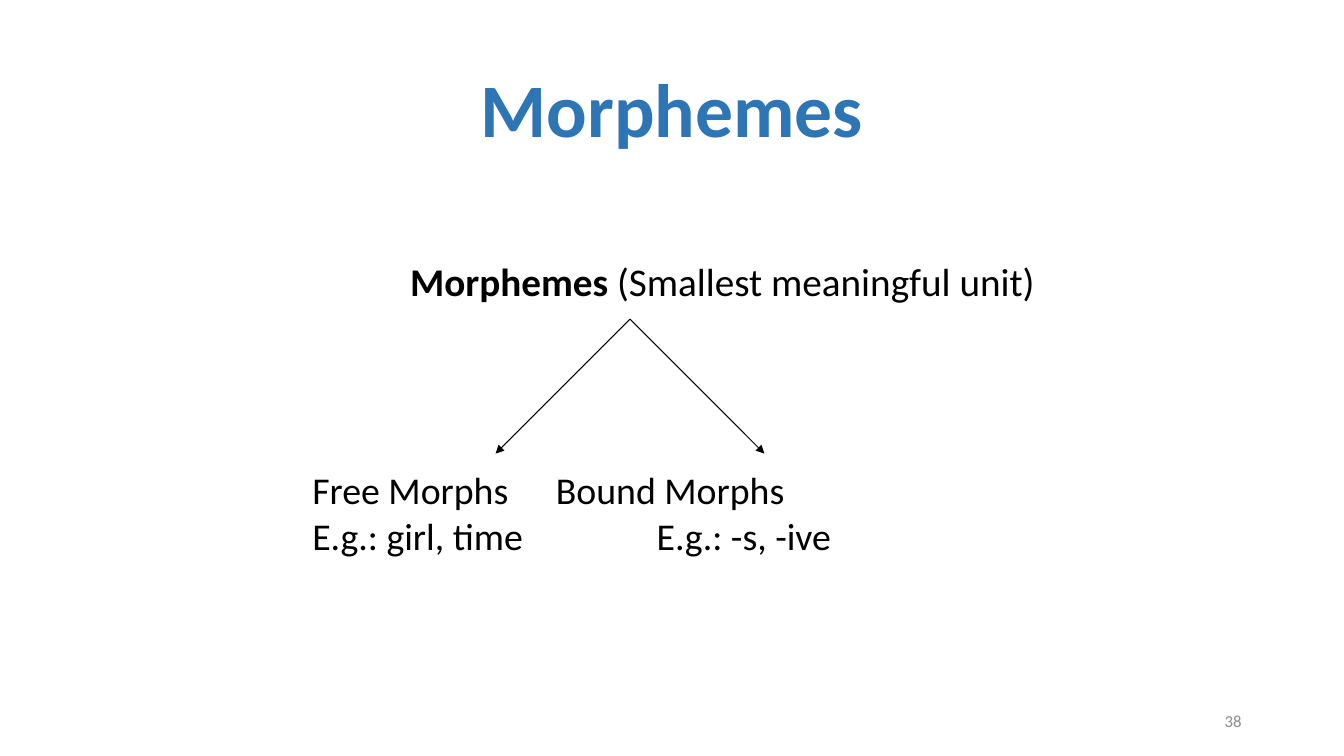
from dataclasses import dataclass

from lxml import etree
from pptx import Presentation
from pptx.dml.color import RGBColor
from pptx.enum.shapes import MSO_CONNECTOR
from pptx.enum.text import MSO_ANCHOR, PP_ALIGN
from pptx.oxml.ns import qn
from pptx.util import Inches, Pt

LEFT, CENTER, RIGHT = PP_ALIGN.LEFT, PP_ALIGN.CENTER, PP_ALIGN.RIGHT
TOP, MIDDLE = MSO_ANCHOR.TOP, MSO_ANCHOR.MIDDLE
STRAIGHT = MSO_CONNECTOR.STRAIGHT
COLUMNS, ROWS = 160, 90
FONT = "Calibri"
BLACK, BLUE, GRAY = "000000", "2E75B6", "8C8C8C"


@dataclass(frozen=True)
class Words:
    text: str
    bold: bool = False


@dataclass(frozen=True)
class Line:
    words: tuple[Words, ...]
    tab_stop: float | None = None


@dataclass(frozen=True)
class Label:
    column: float
    row: float
    columns: float
    rows: float
    lines: tuple[Line, ...]
    size: float
    color: str = BLACK
    align: PP_ALIGN = CENTER
    anchor: MSO_ANCHOR = MIDDLE
    spacing: float = 1.0


def cells(count: float) -> int:
    return Inches(count / 12)


def rgb(color: str) -> RGBColor:
    return RGBColor.from_string(color)


def draw_label(slide, label: Label) -> None:
    place = (label.column, label.row, label.columns, label.rows)
    frame = slide.shapes.add_textbox(*map(cells, place)).text_frame
    frame.word_wrap = True
    frame.vertical_anchor = label.anchor
    for index, line in enumerate(label.lines):
        paragraph = frame.add_paragraph() if index else frame.paragraphs[0]
        paragraph.alignment = label.align
        paragraph.line_spacing = label.spacing
        if line.tab_stop is not None:
            stops = etree.SubElement(paragraph._p.get_or_add_pPr(), qn("a:tabLst"))
            etree.SubElement(stops, qn("a:tab"), pos=str(cells(line.tab_stop)), algn="l")
        for words in line.words:
            run = paragraph.add_run()
            run.text = words.text
            run.font.name = FONT
            run.font.size = Pt(label.size)
            run.font.bold = words.bold
            run.font.color.rgb = rgb(label.color)


def draw_branch(slide, column: float, row: float, across: float, down: float) -> None:
    ends = (column, row, column + across, row + down)
    branch = slide.shapes.add_connector(STRAIGHT, *map(cells, ends))
    branch.line.color.rgb = rgb(BLACK)
    branch.line.width = Pt(0.75)
    etree.SubElement(branch.line._get_or_add_ln(), qn("a:tailEnd"), type="triangle")
    etree.SubElement(branch._element.spPr, qn("a:effectLst"))


TITLE = Label(11, 4.8, 138, 17.4, (Line((Words("Morphemes", True),)),), 54, BLUE, spacing=0.9)
DEFINITION = Label(
    44, 30, 84, 6.84,
    (Line((Words("Morphemes ", True), Words("(Smallest meaningful unit)"))),), 28,
)
MORPH_TYPES = Label(
    36, 55, 65, 17.5,
    (
        Line((Words("Free Morphs\tBound Morphs"),), 29),
        Line((Words("E.g.: girl, time\tE.g.: -s, -ive"),), 41),
    ),
    27, align=LEFT, anchor=TOP,
)
PAGE_NUMBER = Label(113, 83.4, 36, 4.8, (Line((Words("38"),)),), 12, GRAY, RIGHT)

BRANCH_COLUMN, BRANCH_ROW, BRANCH_REACH = 75, 38, 16

presentation = Presentation()
presentation.slide_width = cells(COLUMNS)
presentation.slide_height = cells(ROWS)
slide = presentation.slides.add_slide(presentation.slide_layouts[6])

for label in (TITLE, DEFINITION, MORPH_TYPES):
    draw_label(slide, label)
for side in (1, -1):
    draw_branch(slide, BRANCH_COLUMN, BRANCH_ROW, side * BRANCH_REACH, BRANCH_REACH)
draw_label(slide, PAGE_NUMBER)

presentation.save("out.pptx")
